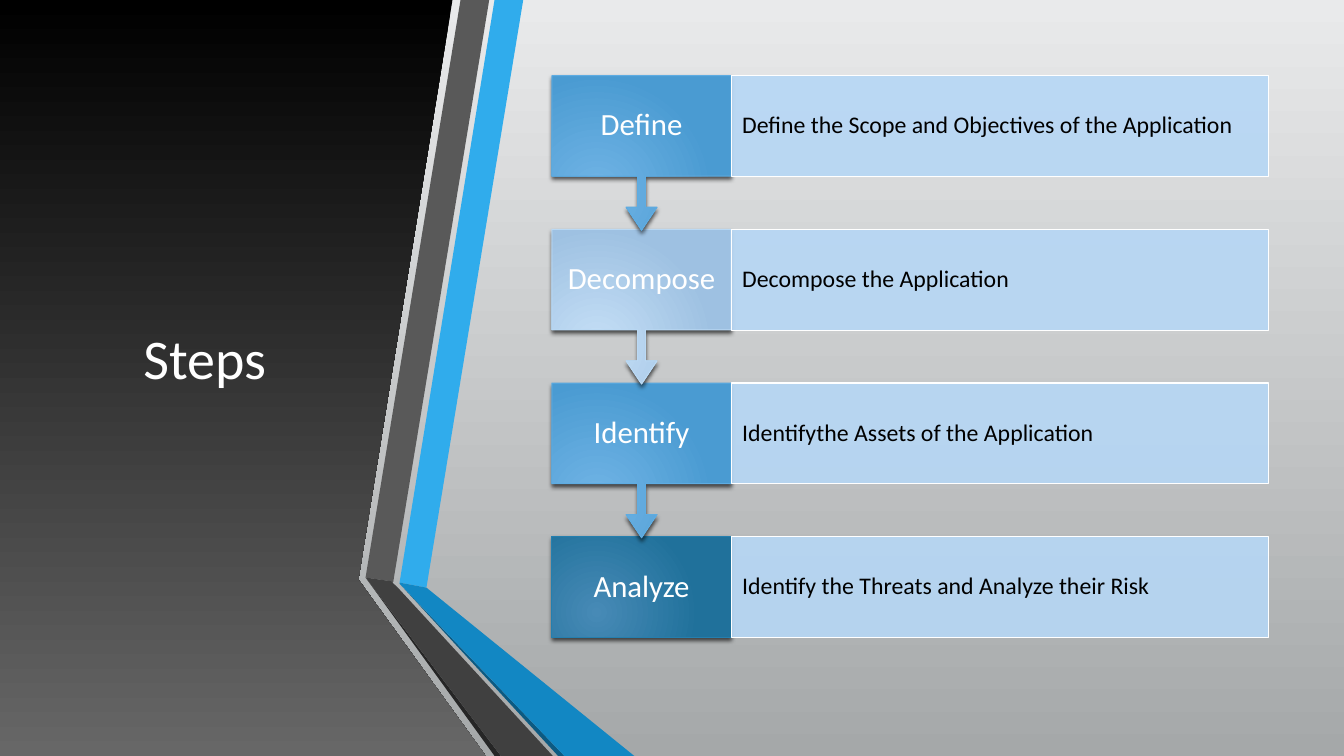
from lxml import etree
from pptx import Presentation
from pptx import util as u
from pptx.dml.color import RGBColor
from pptx.enum import shapes, text
from pptx.oxml import ns

prs = Presentation()
prs.slide_width, prs.slide_height = u.Inches(13.333), u.Inches(7.5)
col, row = prs.slide_width / 15, prs.slide_height / 15
s = prs.slides.add_slide(prs.slide_layouts[6])


def paint(fill, *colors):
    if len(colors) == 1:
        fill.solid()
        fill.fore_color.rgb = RGBColor.from_string(colors[0])
        return
    fill.gradient()
    fill.gradient_angle = 270
    for stop, color in zip(fill.gradient_stops, colors):
        stop.color.rgb = RGBColor.from_string(color)


def write(sp, words, size, color, align, margins, spacing):
    tf = sp.text_frame
    side, end = margins
    frame = {"word_wrap": True, "vertical_anchor": text.MSO_ANCHOR.MIDDLE,
             "margin_left": u.Inches(side), "margin_right": u.Inches(side),
             "margin_top": u.Inches(end), "margin_bottom": u.Inches(end)}
    for name, value in frame.items():
        setattr(tf, name, value)
    p = tf.paragraphs[0]
    p.alignment, p.line_spacing = align, spacing
    r = p.add_run()
    for name, value in {"name": "Calibri", "size": u.Pt(size)}.items():
        setattr(r.font, name, value)
    r.text = words
    paint(r.font.fill, color)


paint(s.background.fill, "E9EAEB", "A5A8A9")

bands = [
    (["000000", "676767"], [(0, 0), (3.97, 0), (5.05, 0), (4, 11.5), (5.42, 15), (0, 15)]),
    (["30ACEC"], [(4.46, 11.56), (4.76, 11.66), (5.84, 0), (5.52, 0)]),
    (["595959"], [(5.46, 0), (5.14, 0), (4.08, 11.46), (4.39, 11.54)]),
    (["262626"], [(4.08, 11.46), (5.52, 15), (5.59, 15)]),
    (["0C5A82"], [(4.46, 11.58), (6.23, 15), (6.3, 15)]),
    (["1287C3"], [(4.46, 11.56), (4.46, 11.58), (6.3, 15), (7.08, 15), (4.76, 11.66)]),
    (["404040"], [(6.17, 15), (4.44, 11.66), (4.38, 11.56), (4.39, 11.54), (4.08, 11.46), (5.59, 15)]),
]
for colors, points in bands:
    points = [(x * col, y * row) for x, y in points]
    fb = s.shapes.build_freeform(*points[0])
    fb.add_line_segments(points[1:], close=True)
    sp = fb.convert_to_shape()
    sp.shadow.inherit = False
    sp.line.fill.background()
    paint(sp.fill, *colors)

center, left = text.PP_ALIGN.CENTER, text.PP_ALIGN.LEFT
tb = s.shapes.add_textbox(*map(int, (0.66 * col, 1.5 * row, 3.25 * col, 11.16 * row)))
write(tb, "Steps", 40, "FFFFFF", center, (0.1, 0.05), 1)

blue = ("71B4E5", "4A9BD2", "5EACE2")
pale = ("C5DFF6", "9EC1E2", "BAD9F4")
deep = ("478AB6", "20719B", "247FAF")
steps = [
    ("Define", "Define the Scope and Objectives of the Application", blue),
    ("Decompose", "Decompose the Application", pale),
    ("Identify", "Identifythe Assets of the Application", blue),
    ("Analyze", "Identify the Threats and Analyze their Risk", deep),
]
glow = f'<a:path {ns.nsdecls("a")} path="circle"><a:fillToRect l="50000" t="100000" r="100000" b="50000"/></a:path>'
shade = (f'<a:outerShdw {ns.nsdecls("a")} blurRad="38100" dist="25400" dir="5400000" rotWithShape="0">'
         '<a:srgbClr val="000000"><a:alpha val="64000"/></a:srgbClr></a:outerShdw>')
kinds = shapes.MSO_SHAPE
x, width, height = int(6.16 * col), int(2 * col), int(2 * row)

for i, (label, detail, (inner, outer, edge)) in reversed(list(enumerate(steps))):
    y = int((1.5 + 3.05 * i) * row)
    if i == len(steps) - 1:
        sp = s.shapes.add_shape(kinds.RECTANGLE, x, y, width, height)
    else:
        sp = s.shapes.add_shape(kinds.UP_ARROW_CALLOUT, x, y, width, int(3.07 * row))
        sp.rotation = 180
        for n, share in enumerate((0.05, 0.1, 0.15, 0.65)):
            sp.adjustments[n] = share
    paint(sp.fill, inner, outer)
    grad = sp._element.spPr.find(ns.qn("a:gradFill"))
    grad.set("rotWithShape", "0")
    grad.replace(grad.find(ns.qn("a:lin")), etree.fromstring(glow))
    paint(sp.line.fill, edge)
    sp.line.width = u.Pt(0.75)
    sp.shadow.inherit = False
    sp._element.spPr.find(ns.qn("a:effectLst")).append(etree.fromstring(shade))

    tb = s.shapes.add_textbox(x, y, width, height)
    write(tb, label, 22, "FFFFFF", center, (0.13, 0.17), 0.9)

    sp = s.shapes.add_shape(kinds.RECTANGLE, x + width, y, 3 * width, height)
    sp.shadow.inherit = False
    paint(sp.fill, "B6D7F5")
    tint = sp._element.spPr.find(ns.qn("a:solidFill"))[0]
    etree.SubElement(tint, ns.qn("a:alpha")).set("val", "90000")
    paint(sp.line.fill, "FFFFFF")
    sp.line.width = u.Pt(0.75)
    write(sp, detail, 17, "000000", left, (0.11, 0.24), 0.9)

prs.save("out.pptx")
